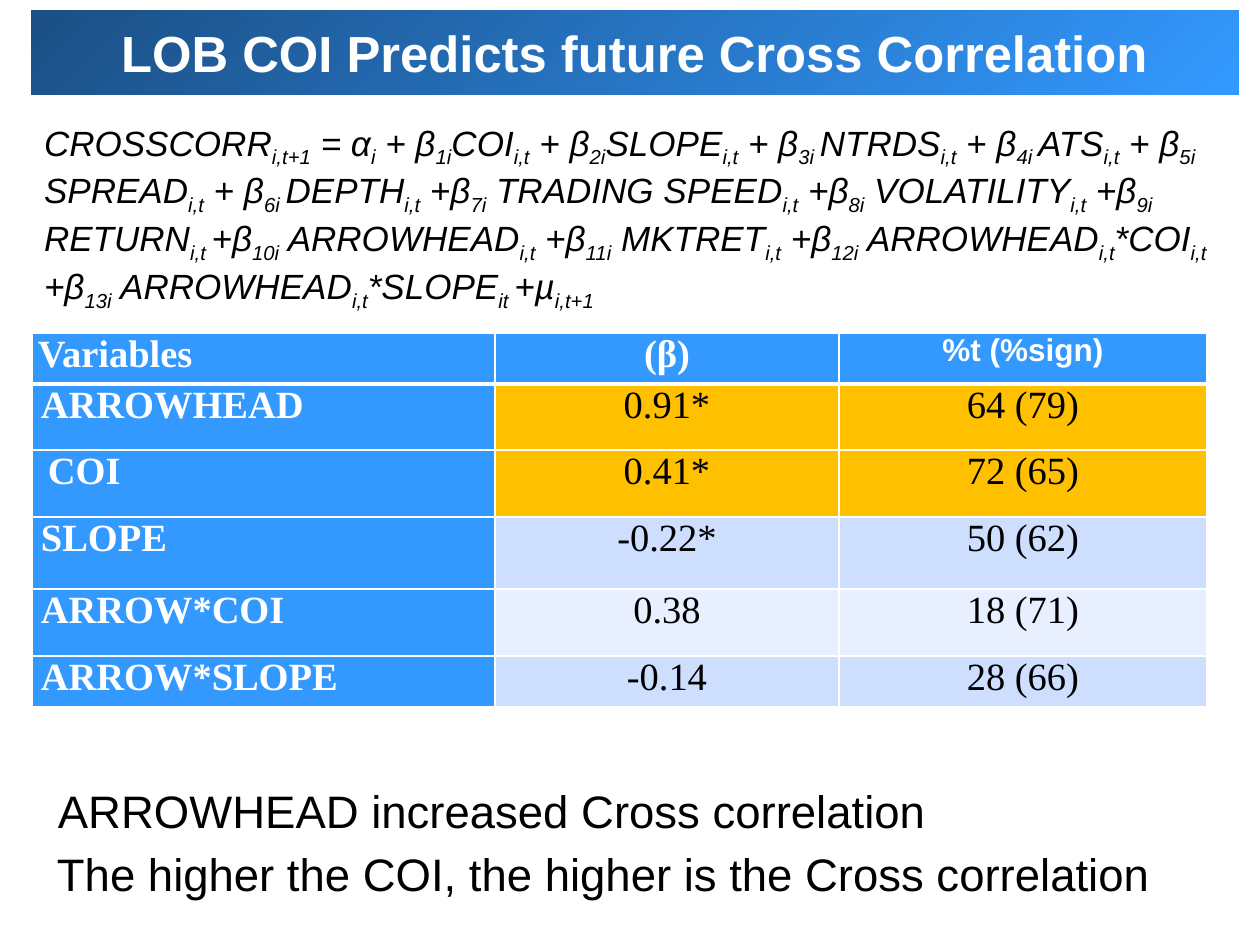
from dataclasses import dataclass

from lxml import etree
from pptx import Presentation
from pptx.dml.color import RGBColor
from pptx.enum.text import MSO_ANCHOR, PP_ALIGN
from pptx.oxml.ns import qn
from pptx.util import Emu, Pt

LEFT, CENTER = PP_ALIGN.LEFT, PP_ALIGN.CENTER
TOP, MIDDLE = MSO_ANCHOR.TOP, MSO_ANCHOR.MIDDLE
SANS, SERIF = "Arial", "Times New Roman"
BLACK, WHITE, BLUE, NAVY = "000000", "FFFFFF", "3399FF", "1B4F85"
AMBER, BAND, PALE = "FFC000", "CEDEFF", "E8EFFF"
PX_PER_INCH = 126

# Pieces between bars alternate: normal text, subscript, normal text, ...
EQUATION = (
    "CROSSCORR|i,t+1| = α|i| + β|1i|COI|i,t| + β|2i|SLOPE|i,t| + β|3i |NTRDS|i,t"
    "| + β|4i |ATS|i,t| + β|5i |SPREAD|i,t| + β|6i |DEPTH|i,t| +β|7i| TRADING SPEED|i,t"
    "| +β|8i| VOLATILITY|i,t| +β|9i |RETURN|i,t |+β|10i| ARROWHEAD|i,t| +β|11i| MKTRET|i,t"
    "| +β|12i| ARROWHEAD|i,t|*COI|i,t| +β|13i| ARROWHEAD|i,t|*SLOPE|it |+µ|i,t+1"
)


@dataclass
class Box:
    left: int
    top: int
    width: int
    height: int


@dataclass
class Result:
    variable: str
    beta: str
    share: str
    fill: str
    height: int
    inset: int = 9


@dataclass
class Note:
    text: str
    box: Box


HEADER = (("Variables", SERIF, 22), ("(β)", SERIF, 22), ("%t (%sign)", SANS, 18))
HEADER_HEIGHT = 51
COLUMN_WIDTHS = (463, 344, 368)
RESULTS = (
    Result("ARROWHEAD", "0.91*", "64 (79)", AMBER, 66),
    Result("COI", "0.41*", "72 (65)", AMBER, 67, inset=16),
    Result("SLOPE", "-0.22*", "50 (62)", BAND, 72),
    Result("ARROW*COI", "0.38", "18 (71)", PALE, 67),
    Result("ARROW*SLOPE", "-0.14", "28 (66)", BAND, 51),
)
NOTES = (
    Note("ARROWHEAD increased Cross correlation", Box(8, 777, 1250, 68)),
    Note("The higher the COI, the higher is the Cross correlation", Box(7, 840, 1250, 68)),
)


def px(n: int) -> Emu:
    return Emu(round(n * 914400 / PX_PER_INCH))


def color(value: str) -> RGBColor:
    return RGBColor.from_string(value)


def set_margins(target, x: int, y: int, left: int) -> None:
    """Set the insets of a text frame or table cell."""
    target.margin_left, target.margin_right = px(left), px(x)
    target.margin_top = target.margin_bottom = px(y)


def write(tf, text: str, *, size: int, font: str = SANS, fill: str = BLACK,
          bold: bool = False, italic: bool = False, align=LEFT) -> None:
    """Write one paragraph; every second piece between bars is a subscript."""
    p = tf.paragraphs[0]
    p.alignment = align
    for i, piece in enumerate(text.split("|")):
        r = p.add_run()
        r.text = piece
        r.font.name, r.font.size = font, Pt(size)
        r.font.bold, r.font.italic = bold, italic
        r.font.color.rgb = color(fill)
        if i % 2:
            r._r.get_or_add_rPr().set("baseline", "-25000")


def place(s, box: Box) -> None:
    s.left, s.top = px(box.left), px(box.top)
    s.width, s.height = px(box.width), px(box.height)


def add_text(slide, box: Box, text: str, left_inset: int = 13, **fmt) -> None:
    s = slide.shapes.add_textbox(0, 0, 0, 0)
    place(s, box)
    tf = s.text_frame
    tf.word_wrap = True
    set_margins(tf, 13, 6, left_inset)
    write(tf, text, **fmt)


def format_title(s, text: str) -> None:
    place(s, Box(31, 10, 1208, 85))
    s.fill.gradient()
    s.fill.gradient_angle = 315
    for stop, value, position in zip(s.fill.gradient_stops, (NAVY, BLUE), (0, 1)):
        stop.color.rgb = color(value)
        stop.position = position
    tf = s.text_frame
    tf.word_wrap = True
    tf.vertical_anchor = MIDDLE
    set_margins(tf, 5, 6, 5)
    write(tf, text, size=29, fill=WHITE, bold=True, align=CENTER)


def set_borders(cell, top: int, bottom: int) -> None:
    """Give a cell white borders, with widths in points."""
    tc_pr = cell._tc.get_or_add_tcPr()
    widths = (("a:lnL", 1), ("a:lnR", 1), ("a:lnT", top), ("a:lnB", bottom))
    for i, (tag, width) in enumerate(widths):
        ln = etree.Element(qn(tag), w=str(Pt(width)))
        solid = etree.SubElement(ln, qn("a:solidFill"))
        etree.SubElement(solid, qn("a:srgbClr"), val=WHITE)
        tc_pr.insert(i, ln)


def fill_cell(cell, text: str, background: str, inset: int, top: int = 1,
              bottom: int = 1, right: int = 9, **fmt) -> None:
    cell.fill.solid()
    cell.fill.fore_color.rgb = color(background)
    cell.vertical_anchor = TOP
    set_margins(cell, right, 0, inset)
    set_borders(cell, top, bottom)
    write(cell.text_frame, text, **fmt)


def add_results(slide) -> None:
    heights = [HEADER_HEIGHT] + [result.height for result in RESULTS]
    table = slide.shapes.add_table(
        len(heights), len(COLUMN_WIDTHS), px(32), px(333),
        px(sum(COLUMN_WIDTHS)), px(sum(heights))).table
    for column, width in zip(table.columns, COLUMN_WIDTHS):
        column.width = px(width)
    for row, height in zip(table.rows, heights):
        row.height = px(height)

    for j, (text, font, size) in enumerate(HEADER):
        fill_cell(table.cell(0, j), text, BLUE, 6, bottom=3, right=6, size=size,
                  font=font, fill=WHITE, bold=True, align=CENTER if j else LEFT)
    for i, result in enumerate(RESULTS, 1):
        top = 3 if i == 1 else 1
        fill_cell(table.cell(i, 0), result.variable, BLUE, result.inset, top,
                  size=22, font=SERIF, fill=WHITE, bold=True)
        for j, text in enumerate((result.beta, result.share), 1):
            fill_cell(table.cell(i, j), text, result.fill, 9, top,
                      size=22, font=SERIF, align=CENTER)


def main() -> None:
    prs = Presentation()
    prs.slide_width, prs.slide_height = px(1260), px(945)
    slide = prs.slides.add_slide(prs.slide_layouts[5])
    format_title(slide.shapes.title, "LOB COI Predicts future Cross Correlation")
    add_text(slide, Box(31, 115, 1229, 183), EQUATION, size=20, italic=True)
    add_results(slide)
    for note in NOTES:
        add_text(slide, note.box, note.text, left_inset=50, size=26)
    prs.save("out.pptx")


if __name__ == "__main__":
    main()
